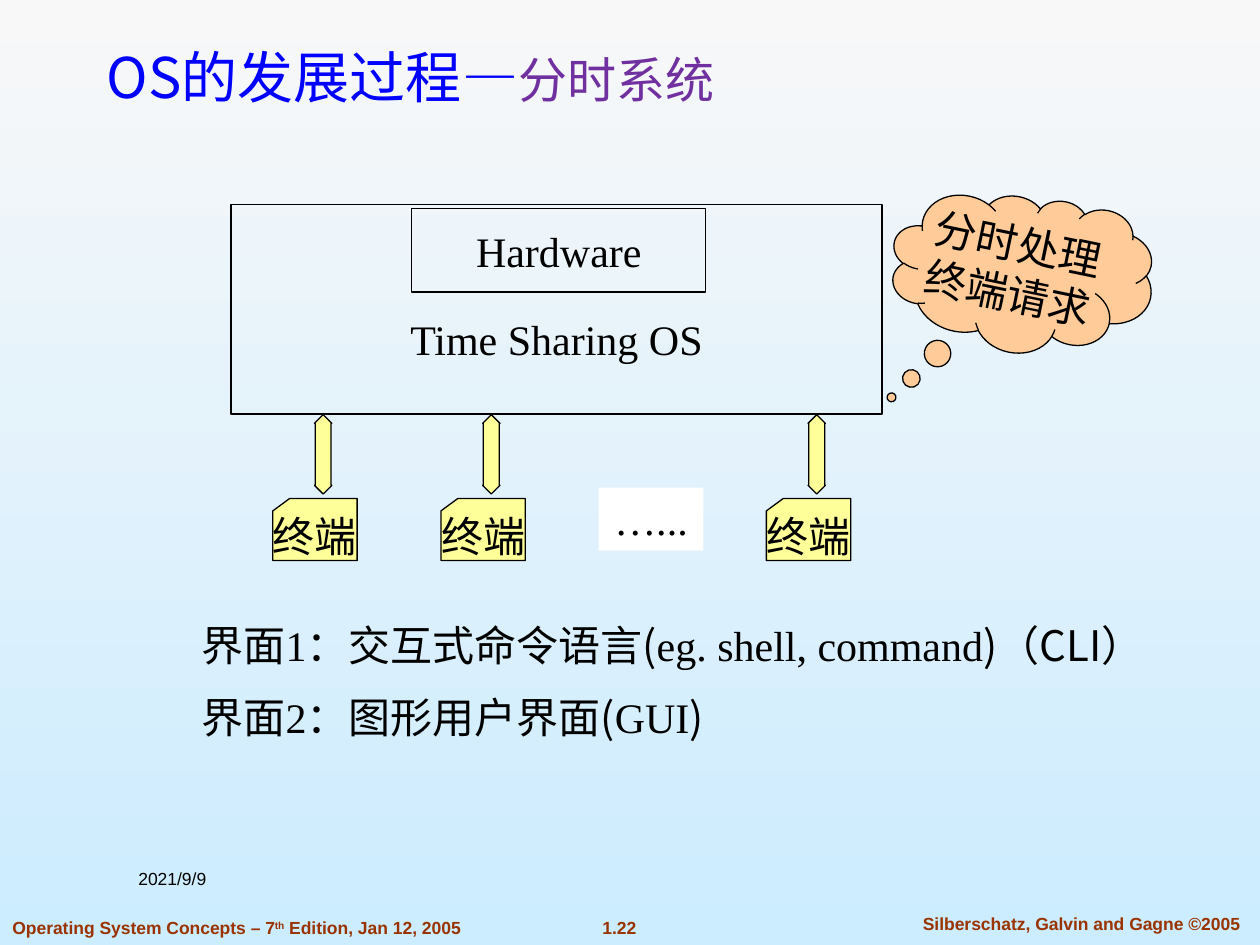
import pptx
import pptx.util
import pptx.dml.color
import pptx.enum.shapes
import pptx.enum.text
import pptx.oxml.ns
import lxml.etree

Cm, Pt = pptx.util.Cm, pptx.util.Pt
RGBColor = pptx.dml.color.RGBColor
SHAPE = pptx.enum.shapes.MSO_SHAPE
ALIGN = pptx.enum.text.PP_ALIGN
ANCHOR = pptx.enum.text.MSO_ANCHOR
AUTO_SIZE = pptx.enum.text.MSO_AUTO_SIZE
qn = pptx.oxml.ns.qn

BLACK = RGBColor(0x00, 0x00, 0x00)
WHITE = RGBColor(0xFF, 0xFF, 0xFF)
BLUE = RGBColor(0x00, 0x00, 0xFF)
PURPLE = RGBColor(0x70, 0x30, 0xA0)
BROWN = RGBColor(0x99, 0x33, 0x00)
YELLOW = RGBColor(0xFF, 0xFF, 0x99)
ORANGE = RGBColor(0xFF, 0xCC, 0x99)
SKY_TOP = RGBColor(0xF8, 0xF8, 0xF8)
SKY_BOTTOM = RGBColor(0xCC, 0xEC, 0xFF)

SERIF, SANS, CJK = "Times New Roman", "Arial", "Noto Sans CJK SC"


def add_run(paragraph, text, size=24, font=SERIF, color=BLACK, bold=False):
    run = paragraph.add_run()
    run.text = text
    run.font.size = Pt(size)
    run.font.name = font
    run.font.bold = bold
    run.font.color.rgb = color
    east_asian = lxml.etree.SubElement(run.font._element, qn("a:ea"))
    east_asian.set("typeface", CJK)
    return run


def place(shape, left, top, width, height):
    shape.left, shape.top = Cm(left), Cm(top)
    shape.width, shape.height = Cm(width), Cm(height)


def add_box(slide, kind, box, lines=(), fill=None, outlined=True):
    """Preset shape with centred lines of text."""
    shape = slide.shapes.add_shape(kind, *map(Cm, box))
    shape.shadow.inherit = False
    if fill is None:
        shape.fill.background()
    else:
        shape.fill.solid()
        shape.fill.fore_color.rgb = fill
    if outlined:
        shape.line.color.rgb = BLACK
        shape.line.width = Pt(0.75)
    else:
        shape.line.fill.background()
    frame = shape.text_frame
    frame.word_wrap = False
    frame.vertical_anchor = ANCHOR.MIDDLE
    for number, line in enumerate(lines):
        paragraph = frame.add_paragraph() if number else frame.paragraphs[0]
        paragraph.alignment = ALIGN.CENTER
        add_run(paragraph, line)
    return shape


def add_label(slide, box, align=ALIGN.LEFT):
    """Empty text box; gives back its paragraph."""
    frame = slide.shapes.add_textbox(*map(Cm, box)).text_frame
    frame.word_wrap = True
    frame.paragraphs[0].alignment = align
    return frame.paragraphs[0]


def add_terminal(slide, left):
    """Terminal card with the arrow that ties it to the system."""
    add_box(slide, SHAPE.FLOWCHART_CARD, (left, 10.05, 1.7, 1.25), ["终端"], YELLOW)
    arrow = add_box(slide, SHAPE.UP_DOWN_ARROW, (left + 0.84, 8.36, 0.35, 1.6), fill=YELLOW)
    arrow.adjustments[0], arrow.adjustments[1] = 0.5, 0.917


def fill_background(slide):
    fill = slide.background.fill
    fill.gradient()
    fill.gradient_angle = 270
    for stop, color in zip(fill.gradient_stops, (SKY_TOP, SKY_BOTTOM)):
        stop.color.rgb = color


def fill_title(title):
    place(title, 1.9, 0.64, 22.43, 1.7)
    title.text_frame.vertical_anchor = ANCHOR.BOTTOM
    title.text_frame.auto_size = AUTO_SIZE.NONE
    heading = title.text_frame.paragraphs[0]
    heading.alignment = ALIGN.LEFT
    add_run(heading, "OS的发展过程", 32, CJK, BLUE)
    add_run(heading, "—", 32, SANS, BLUE)
    add_run(heading, "分时系统", 28, CJK, PURPLE)


def fill_interfaces(body):
    place(body, 3.81, 12.37, 20.52, 2.82)
    frame = body.text_frame
    frame.auto_size = AUTO_SIZE.SHAPE_TO_FIT_TEXT
    interfaces = [
        ("界面1：交互式命令语言", "eg. shell, command", ")（CLI）"),
        ("界面2：图形用户界面", "GUI", ")"),
    ]
    for number, (name, example, ending) in enumerate(interfaces):
        paragraph = frame.add_paragraph() if number else frame.paragraphs[0]
        paragraph.space_before = Pt(12)
        properties = paragraph._p.get_or_add_pPr()
        properties.set("marL", "0")
        properties.set("indent", "0")
        lxml.etree.SubElement(properties, qn("a:buNone"))
        add_run(paragraph, name)
        add_run(paragraph, "(", font=CJK)
        add_run(paragraph, example)
        add_run(paragraph, ending, font=CJK)


def add_footer(slide):
    style = {"size": 10, "font": SANS}
    note = dict(style, color=BROWN, bold=True)
    add_run(add_label(slide, (2.54, 17.37, 5.51, 1.27)), "2021/9/9", **style)
    book = add_label(slide, (0, 18.36, 9.58, 0.69))
    add_run(book, "Operating System Concepts – 7", **note)
    add_run(book, "th", **note).font._element.set("baseline", "30000")
    add_run(book, " Edition, Jan 12, 2005", **note)
    add_run(add_label(slide, (11.86, 18.36, 1.25, 0.69), ALIGN.CENTER), "1.22", **note)
    add_run(add_label(slide, (18.03, 18.29, 7.54, 0.69), ALIGN.CENTER),
            "Silberschatz, Galvin and Gagne ©2005", **note)


def main():
    deck = pptx.Presentation()
    deck.slide_width, deck.slide_height = Cm(25.4), Cm(19.05)
    slide = deck.slides.add_slide(deck.slide_layouts[1])
    fill_background(slide)

    # Title and list of interfaces
    fill_title(slide.shapes.title)
    fill_interfaces(slide.placeholders[1])

    # System with its hardware; the label sits below the hardware
    system = add_box(slide, SHAPE.RECTANGLE, (4.66, 4.12, 13.12, 4.23), ["Time Sharing OS"])
    system.text_frame.margin_top = Cm(1.3)
    add_box(slide, SHAPE.RECTANGLE, (8.3, 4.2, 5.93, 1.69), ["Hardware"])

    # Thought about the requests
    thought = add_box(slide, SHAPE.CLOUD_CALLOUT, (17.96, 3.91, 5.28, 3.2),
                      ["分时处理", "终端请求"], ORANGE)
    thought.rotation = 11.7
    thought.adjustments[0], thought.adjustments[1] = -0.391, 0.932

    # Terminals, with an ellipsis for the rest
    for left in (5.5, 8.89, 15.45):
        add_terminal(slide, left)
    add_box(slide, SHAPE.RECTANGLE, (12.07, 9.83, 2.11, 1.27), ["…..."], WHITE, outlined=False)

    add_footer(slide)
    deck.save("out.pptx")


if __name__ == "__main__":
    main()
